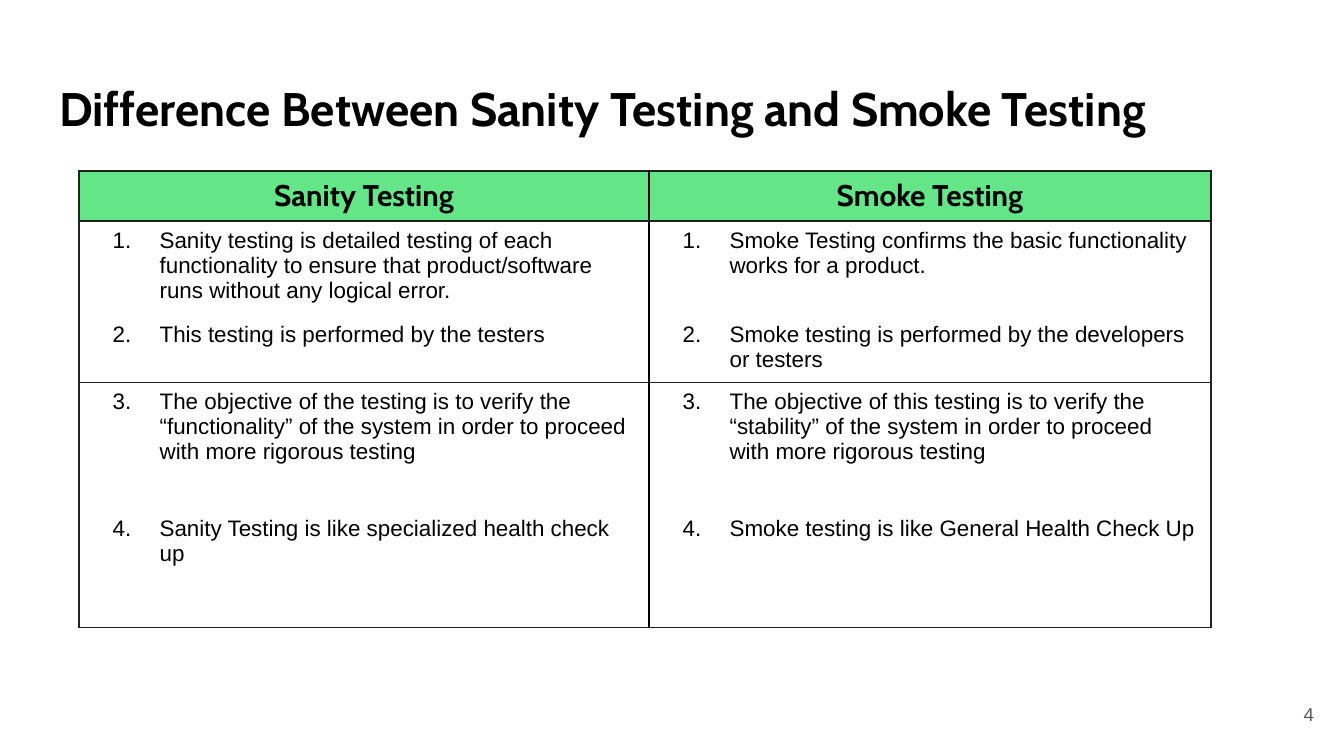
from lxml import etree
from pptx import Presentation
from pptx import util as u
from pptx.dml.color import RGBColor
from pptx.enum import text
from pptx.oxml.ns import qn

PX = 914400 / 134.4
COLORS = {"black": "000000", "edge": "212121", "header": "64E688", "number": "595959"}


def px(length):
    return u.Emu(round(length * PX))


def style(paragraph, font_name, size, color, bold=False):
    font = paragraph.font
    font.name, font.size, font.bold = font_name, u.Pt(size), bold
    font.color.rgb = RGBColor.from_string(COLORS[color])


deck = Presentation()
deck.slide_width, deck.slide_height = px(1344), px(756)
slide = deck.slides.add_slide(deck.slide_layouts[6])

# Title and page number
labels = [
    ("Difference Between Sanity Testing and Smoke Testing", (46, 66, 1252, 85),
     text.MSO_ANCHOR.TOP, text.PP_ALIGN.LEFT, ("Cabin", 25.2, "black", True)),
    ("4", (1246, 685, 81, 58),
     text.MSO_ANCHOR.MIDDLE, text.PP_ALIGN.RIGHT, ("Arial", 10, "number")),
]
for words, box, anchor, align, look in labels:
    frame = slide.shapes.add_textbox(*map(px, box)).text_frame
    frame.word_wrap = True
    frame.vertical_anchor = anchor
    frame.margin_left = frame.margin_right = u.Inches(0.1)
    frame.margin_top = frame.margin_bottom = u.Inches(0.1)
    line = frame.paragraphs[0]
    line.text, line.alignment = words, align
    style(line, *look)

# Comparison table
comparison = [
    ("Sanity Testing", "Smoke Testing"),
    ("Sanity testing is detailed testing of each functionality to ensure that "
     "product/software runs without any logical error.",
     "Smoke Testing confirms the basic functionality works for a product."),
    ("This testing is performed by the testers",
     "Smoke testing is performed by the developers or testers"),
    ("The objective of the testing is to verify the “functionality” of the system "
     "in order to proceed with more rigorous testing",
     "The objective of this testing is to verify the “stability” of the system "
     "in order to proceed with more rigorous testing"),
    ("Sanity Testing is like specialized health check up",
     "Smoke testing is like General Health Check Up"),
]
col_widths = [570, 562]
row_heights = [50, 91, 64, 127, 118]
table = slide.shapes.add_table(
    5, 2, px(79), px(171), px(sum(col_widths)), px(sum(row_heights))).table
table.first_row = table.horz_banding = False
for column, width in zip(table.columns, col_widths):
    column.width = px(width)
for row, height in zip(table.rows, row_heights):
    row.height = px(height)

for r, points in enumerate(comparison):
    for c, words in enumerate(points):
        cell = table.cell(r, c)
        point = cell.text_frame.paragraphs[0]
        point.text = words

        # Borders: points 1-2 and 3-4 share a block with no line between them
        edges = {
            "lnL": "black" if c == 1 else "edge",
            "lnR": "black" if c == 0 else "edge",
            "lnT": None if r in (2, 4) else "edge",
            "lnB": None if r in (1, 3) else "edge",
        }
        cell_props = cell._tc.get_or_add_tcPr()
        for tag, color in edges.items():
            border = etree.SubElement(cell_props, qn(f"a:{tag}"), w=str(u.Pt(0.75)))
            if color:
                fill = etree.SubElement(border, qn("a:solidFill"))
                etree.SubElement(fill, qn("a:srgbClr"), val=COLORS[color])
            else:
                etree.SubElement(border, qn("a:noFill"))

        if r == 0:
            cell.fill.solid()
            cell.fill.fore_color.rgb = RGBColor.from_string(COLORS["header"])
            point.alignment = text.PP_ALIGN.CENTER
            style(point, "Cabin", 16, "black", True)
        else:
            cell.fill.background()
            # Numbered point with a hanging indent
            props = point._p.get_or_add_pPr()
            props.set("marL", str(u.Inches(0.5)))
            props.set("indent", str(u.Inches(-0.35)))
            number_color = etree.SubElement(props, qn("a:buClr"))
            etree.SubElement(number_color, qn("a:srgbClr"), val=COLORS["black"])
            etree.SubElement(props, qn("a:buFont"), typeface="Arial")
            etree.SubElement(props, qn("a:buAutoNum"), type="arabicPeriod", startAt=str(r))
            style(point, "Arial", 12, "black")

deck.save("out.pptx")
